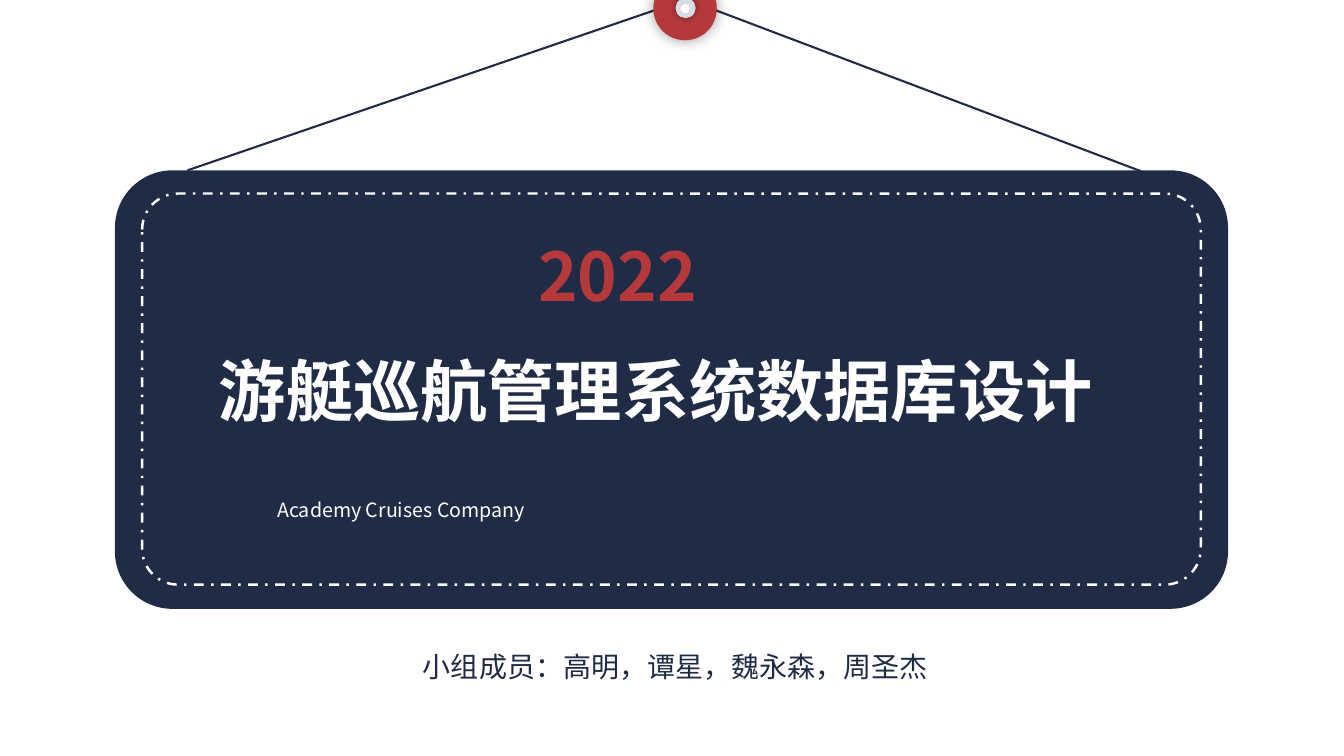
from lxml import etree
from pptx import Presentation, util as u
from pptx.dml.color import RGBColor
from pptx.enum import dml, shapes, text
from pptx.oxml.ns import qn

NAVY, RED, WHITE, SILVER = "202C46", "B5393A", "FFFFFF", "D6DCE5"
FONT = "Noto Sans CJK SC"


def color(hex_code):
    """Turn a hex string into a colour."""
    return RGBColor.from_string(hex_code)


def write(frame, words, size, ink, bold=False, align=text.PP_ALIGN.JUSTIFY):
    """Fill a text frame with one formatted line."""
    frame.word_wrap = True
    frame.auto_size = text.MSO_AUTO_SIZE.NONE
    frame.vertical_anchor = text.MSO_ANCHOR.MIDDLE
    para = frame.paragraphs[0]
    para.alignment = align
    para.space_before = u.Pt(0)
    span = para.add_run()
    span.text = words
    span.font.name, span.font.size, span.font.bold = FONT, u.Pt(size), bold
    span.font.color.rgb = color(ink)
    etree.SubElement(span.font._element, qn("a:ea"), typeface=FONT)


class Sign:
    """Draw the hanging sign on the current slide."""

    def __init__(self, page):
        """Keep the slide that receives the elements."""
        self.page = page

    def shape(self, kind, place, fill=None, line=None):
        """Add a preset shape with a plain fill or a dashed outline."""
        box = self.page.shapes.add_shape(kind, *map(u.Inches, place))
        box.shadow.inherit = False
        if fill:
            box.fill.solid()
            box.fill.fore_color.rgb = color(fill)
        else:
            box.fill.background()
        if line:
            box.line.color.rgb = color(line)
            box.line.width = u.Pt(1.75)
            box.line.dash_style = dml.MSO_LINE.DASH_DOT
        else:
            box.line.fill.background()
        return box

    def panel(self, place, corner, **style):
        """Add a rounded rectangle."""
        box = self.shape(shapes.MSO_SHAPE.ROUNDED_RECTANGLE, place, **style)
        box.adjustments[0] = corner

    def disc(self, left, top, size, fill, blur=0, opacity=0):
        """Add a circle with an optional soft shadow."""
        box = self.shape(shapes.MSO_SHAPE.OVAL, (left, top, size, size), fill)
        if blur:
            effects = box._element.spPr.find(qn("a:effectLst"))
            shadow = etree.SubElement(effects, qn("a:outerShdw"), blurRad=str(u.Pt(blur)),
                                      dist="0", dir="0", algn="ctr", rotWithShape="0")
            tint = etree.SubElement(shadow, qn("a:srgbClr"), val="000000")
            etree.SubElement(tint, qn("a:alpha"), val=str(opacity * 1000))

    def string(self, start, end):
        """Add a straight line that holds the sign."""
        points = map(u.Inches, start + end)
        link = self.page.shapes.add_connector(shapes.MSO_CONNECTOR.STRAIGHT, *points)
        link.line.color.rgb = color(NAVY)
        link.line.width = u.Pt(1.5)
        etree.SubElement(link._element.spPr, qn("a:effectLst"))

    def placeholder(self, box, place, words, size, ink, **style):
        """Move a template placeholder to the front and fill it."""
        box.left, box.top, box.width, box.height = map(u.Inches, place)
        self.page.shapes._spTree.append(box._element)
        write(box.text_frame, words, size, ink, **style)

    def label(self, place, words, size, ink, **style):
        """Add a text box."""
        box = self.page.shapes.add_textbox(*map(u.Inches, place))
        write(box.text_frame, words, size, ink, **style)


def main():
    """Build the cover slide and save the deck."""
    deck = Presentation()
    deck.slide_width, deck.slide_height = u.Inches(13.33), u.Inches(7.5)
    page = deck.slides.add_slide(deck.slide_layouts[0])
    sign = Sign(page)
    sign.panel((1.14, 1.69, 11.04, 4.35), 0.131, fill=NAVY)
    sign.panel((1.41, 1.92, 10.5, 3.88), 0.092, line=WHITE)
    sign.placeholder(page.shapes.title, (2.07, 3.41, 9.19, 0.91),
                     "游艇巡航管理系统数据库设计", 48, WHITE, bold=True)
    sign.label((5.24, 2.27, 2.86, 0.91), "2022", 48, RED, bold=True)
    sign.placeholder(page.placeholders[1], (2.65, 4.89, 8.02, 0.34),
                     "Academy Cruises Company", 14, WHITE)
    sign.label((3.15, 6.39, 7.1, 0.44), "小组成员：高明，谭星，魏永森，周圣杰", 20, NAVY,
               align=text.PP_ALIGN.CENTER)
    sign.string((1.86, 1.69), (6.79, 0))
    sign.string((6.83, 0), (11.32, 1.7))
    sign.disc(6.48, -0.23, 0.63, RED, blur=10, opacity=39)
    sign.disc(6.7, -0.02, 0.2, SILVER, blur=5, opacity=40)
    sign.disc(6.75, 0.04, 0.09, WHITE)
    deck.save("out.pptx")


if __name__ == "__main__":
    main()
